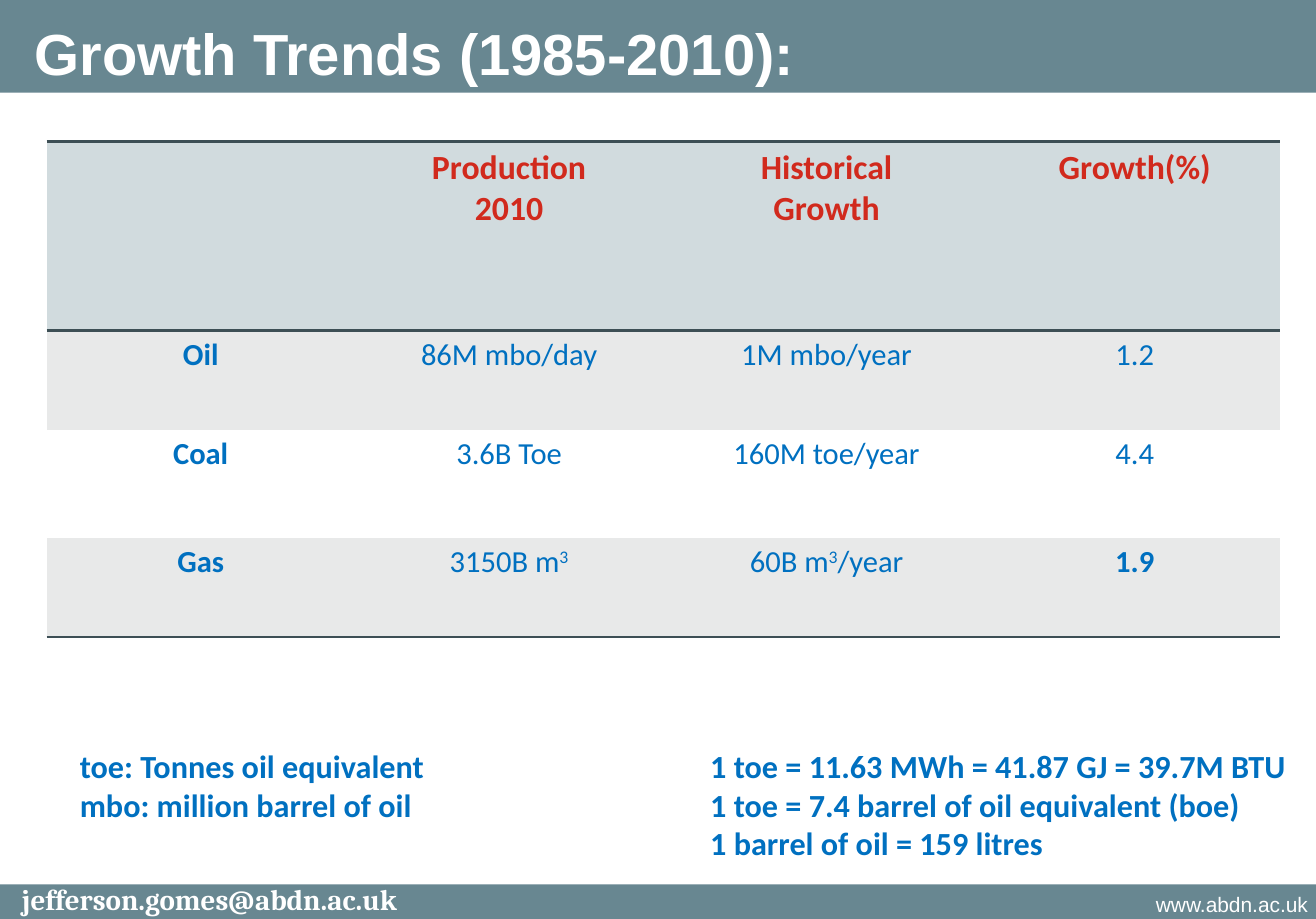
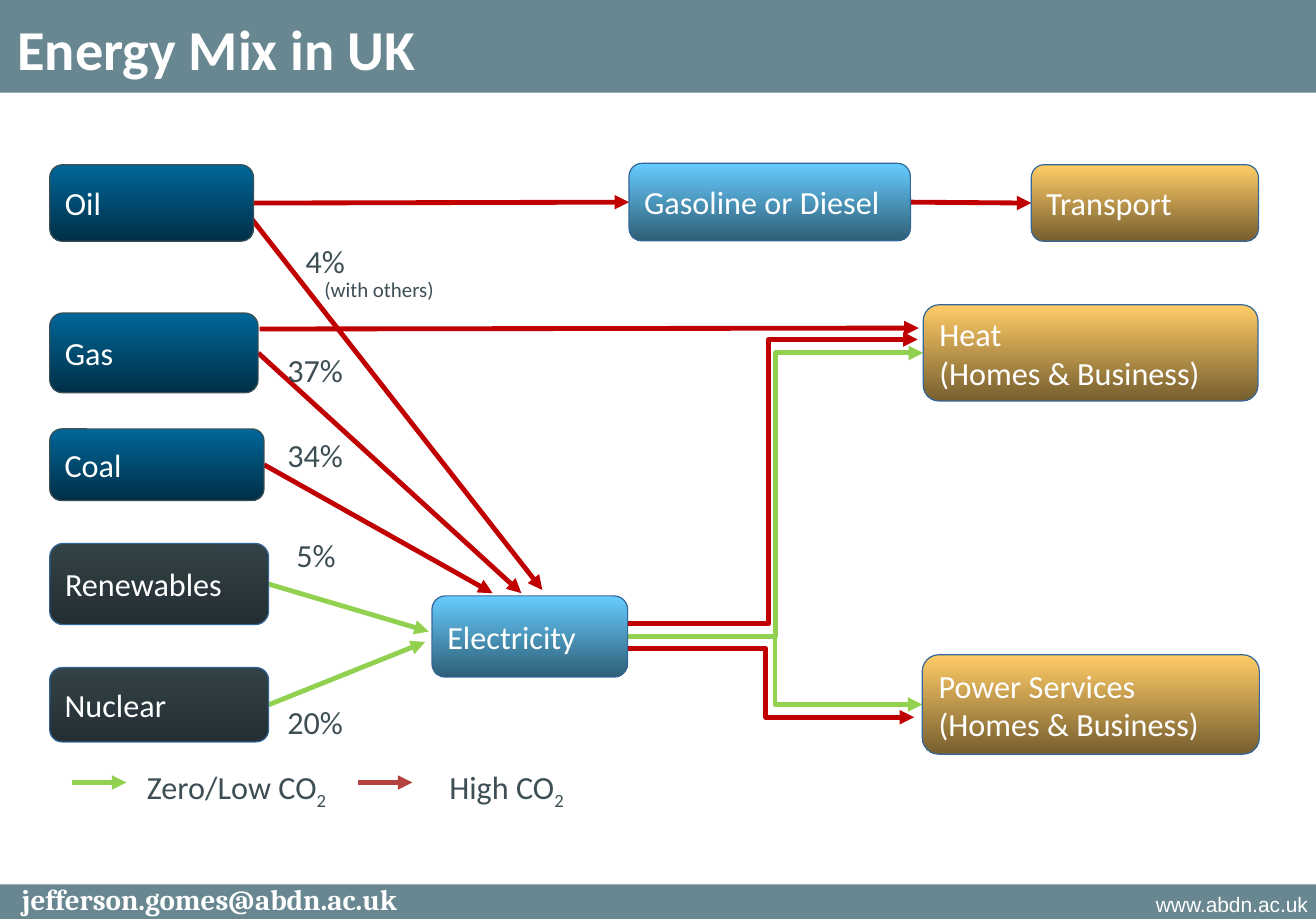
from lxml import etree
from pptx import Presentation
from pptx.dml.color import RGBColor
from pptx.enum.shapes import MSO_CONNECTOR, MSO_SHAPE
from pptx.enum.text import MSO_ANCHOR, MSO_AUTO_SIZE, PP_ALIGN
from pptx.oxml.ns import qn
from pptx.util import Cm, Pt

LEFT, MID, RIGHT = PP_ALIGN.LEFT, PP_ALIGN.CENTER, PP_ALIGN.RIGHT
TOP, CENTRE = MSO_ANCHOR.TOP, MSO_ANCHOR.MIDDLE
FIXED, GROW = MSO_AUTO_SIZE.NONE, MSO_AUTO_SIZE.SHAPE_TO_FIT_TEXT
RECT, ROUND = MSO_SHAPE.RECTANGLE, MSO_SHAPE.ROUNDED_RECTANGLE
LINE, ELBOW = MSO_CONNECTOR.STRAIGHT, MSO_CONNECTOR.ELBOW

WIDE, HIGH = 28.85, 20.14
PAD = (0.28, 0.15)
NO_GRID = "{2D5ABB26-0587-4C30-8999-92F81FD0307C}"
COLORS = {
    "band": "688791", "white": "FFFFFF", "ink": "3D4F55", "blue": "0070C0",
    "head": "D12A1D", "top": "D1DBDE", "stripe": "E8E9E9",
    "low": "92D050", "high": "C00000", "key": "B4423E", "edge": "336699",
}
# Fill at the top, fill at the bottom, outline
KINDS = {
    "fossil": ("006699", "002F47", "3D4F55"),
    "clean": ("334247", "242F33", "336699"),
    "fuel": ("66CCFF", "2F5E76", "336699"),
    "use": ("FFCC66", "765E2F", "336699"),
}


def rgb(name):
    return RGBColor.from_string(COLORS.get(name, name))


def write(frame, text, font="Calibri", size=20, color="ink", bold=False,
          align=LEFT, base=30, space=None):
    """Fill a frame; text between ^ marks is raised by base percent."""
    for i, part in enumerate(text.split("\n")):
        para = frame.paragraphs[0] if i == 0 else frame.add_paragraph()
        para.alignment = align
        if space:
            para.line_spacing = space
        for j, bit in enumerate(part.split("^")):
            if not bit:
                continue
            run = para.add_run()
            run.text = bit
            run.font.name, run.font.size = font, Pt(size)
            run.font.bold, run.font.color.rgb = bold, rgb(color)
            if j % 2:
                run.font._element.set("baseline", str(base * 1000))


def inset(frame, pad):
    frame.margin_left = frame.margin_right = Cm(pad[0])
    frame.margin_top = frame.margin_bottom = Cm(pad[1])


class Deck:
    def __init__(self):
        self.show = Presentation()
        self.show.slide_width, self.show.slide_height = Cm(WIDE), Cm(HIGH)
        self.plan = self.show.slide_layouts[5]
        self.slide = None

    def start(self, text, box, **style):
        first = self.slide is None
        self.slide = self.show.slides.add_slide(self.plan)
        if first:
            self.frame()
        title = self.slide.shapes.title
        title.left, title.top, title.width, title.height = map(Cm, box)
        body = title.text_frame
        body.auto_size, body.word_wrap = FIXED, True
        body.vertical_anchor = CENTRE
        inset(body, PAD)
        write(body, text, color="white", bold=True, **style)

    def frame(self):
        """Put the bands and the footer on the layout."""
        parts = [
            self.band(0, 2.03),
            self.band(19.38, 0.76),
            self.text("www.abdn.ac.uk", (21.46, 19.38, 7.49, 0.97), wrap=True,
                      pad=PAD, font="Arial", size=13, color="white", align=RIGHT),
            self.text("jefferson.gomes@abdn.ac.uk", (0, 19.25, 9.19, 0.89),
                      wrap=True, pad=PAD, font="Cambria", size=18,
                      color="white", bold=True, align=MID, space=0.9),
        ]
        for part in parts:
            self.plan.shapes.element.append(part.element)

    def band(self, top, high):
        band = self.slide.shapes.add_shape(RECT, 0, Cm(top), Cm(WIDE), Cm(high))
        band.shadow.inherit = False
        band.fill.solid()
        band.fill.fore_color.rgb = rgb("band")
        band.line.fill.background()
        return band

    def text(self, text, box, wrap=False, pad=(0.25, 0.13), **style):
        area = self.slide.shapes.add_textbox(*map(Cm, box))
        body = area.text_frame
        body.word_wrap = wrap
        body.auto_size = FIXED if wrap else GROW
        inset(body, pad)
        write(body, text, **style)
        return area

    def box(self, text, kind, box):
        upper, lower, edge = KINDS[kind]
        node = self.slide.shapes.add_shape(ROUND, *map(Cm, box))
        node.shadow.inherit = False
        node.fill.gradient()
        node.fill.gradient_angle = 270
        for stop, tint in zip(node.fill.gradient_stops, (upper, lower)):
            stop.color.rgb = rgb(tint)
        node.line.color.rgb, node.line.width = rgb(edge), Pt(0.75)
        body = node.text_frame
        body.word_wrap, body.vertical_anchor = True, CENTRE
        write(body, text, color="white")
        return node

    def link(self, start, end, color, kind=LINE):
        """Arrow behind the boxes, from a box's right side or a point
        to a box's left side or a point."""
        a = start if isinstance(start, tuple) else (0, 0)
        b = end if isinstance(end, tuple) else (0, 0)
        line = self.slide.shapes.add_connector(kind, *map(Cm, a + b))
        if start is not a:
            line.begin_connect(start, 3)
        if end is not b:
            line.end_connect(end, 1)
        line.line.color.rgb, line.line.width = rgb(color), Pt(3)
        etree.SubElement(line.line._get_or_add_ln(), qn("a:tailEnd"), type="triangle")
        etree.SubElement(line.element.spPr, qn("a:effectLst"))
        self.slide.shapes.element.insert(2, line.element)

    def rule(self, cell, side):
        props = cell._tc.get_or_add_tcPr()
        edge = etree.SubElement(props, qn("a:" + side), w=str(Pt(2)))
        fill = etree.SubElement(edge, qn("a:solidFill"))
        etree.SubElement(fill, qn("a:srgbClr"), val=COLORS["ink"])

    def table(self, rows, box, wides, highs, bold):
        """Bold holds the (row, column) of each bold body cell."""
        grid = self.slide.shapes.add_table(
            len(rows), len(wides), *map(Cm, box)).table
        grid.first_row = grid.horz_banding = False
        grid._tbl.tblPr.find(qn("a:tableStyleId")).text = NO_GRID
        for col, wide in zip(grid.columns, wides):
            col.width = Cm(wide)
        for r, row in enumerate(rows):
            grid.rows[r].height = Cm(highs[r])
            for c, text in enumerate(row):
                cell = grid.cell(r, c)
                inset(cell, (0.28, 0.13))
                cell.vertical_anchor = TOP
                if r == 0:
                    self.rule(cell, "lnT")
                if r in (0, len(rows) - 1):
                    self.rule(cell, "lnB")
                cell.fill.solid()
                tint = "top" if r == 0 else "stripe" if r % 2 else "white"
                cell.fill.fore_color.rgb = rgb(tint)
                if text:
                    write(cell.text_frame, text, align=MID,
                          size=19 if r else 21, color="blue" if r else "head",
                          bold=r == 0 or (r, c) in bold)


def trends(deck):
    deck.start("Growth Trends (1985-2010):", (0.48, 0.13, 21.92, 2.03),
               font="Arial", size=36)
    deck.table([
        ("", "Production\n2010", "Historical\nGrowth", "Growth(%)"),
        ("Oil", "86M mbo/day", "1M mbo/year", "1.2"),
        ("Coal", "3.6B Toe", "160M toe/year", "4.4"),
        ("Gas", "3150B m^3^", "60B m^3^/year", "1.9"),
    ], (1.02, 3.1, 27.03, 10.86), (6.76, 6.76, 7.16, 6.35),
        (4.14, 2.18, 2.36, 2.18), {(1, 0), (2, 0), (3, 0), (3, 3)})
    note = {"pad": PAD, "color": "blue", "bold": True}
    deck.text("toe: Tonnes oil equivalent\nmbo: million barrel of oil",
              (1.47, 16.21, 8.2, 1.98), **note)
    deck.text("1 toe = 11.63 MWh = 41.87 GJ = 39.7M BTU\n"
              "1 toe = 7.4 barrel of oil equivalent (boe)\n"
              "1 barrel of oil = 159 litres", (15.29, 16.21, 13.28, 2.84), **note)


def energy(deck):
    deck.start("Energy Mix in UK", (0.1, 0.13, 20, 1.85), size=35)
    oil = deck.box("Oil", "fossil", (1.09, 3.61, 4.47, 1.68))
    gas = deck.box("Gas", "fossil", (1.09, 6.86, 4.57, 1.75))
    coal = deck.box("Coal", "fossil", (1.09, 9.4, 4.7, 1.57))
    renew = deck.box("Renewables", "clean", (1.09, 11.91, 4.8, 1.78))
    nuke = deck.box("Nuclear", "clean", (1.09, 14.63, 4.8, 1.63))
    petrol = deck.box("Gasoline or Diesel", "fuel", (13.79, 3.58, 6.17, 1.7))
    power = deck.box("Electricity", "fuel", (9.47, 13.06, 4.29, 1.78))
    cars = deck.box("Transport", "use", (22.61, 3.61, 4.98, 1.68))
    heat = deck.box("Heat\n(Homes & Business)", "use", (20.24, 6.68, 7.34, 2.11))
    serve = deck.box("Power Services\n(Homes & Business)", "use",
                     (20.22, 14.35, 7.39, 2.18))

    for start, end, color in (
        (oil, petrol, "high"),
        (petrol, cars, "high"),
        ((5.38, 4.62), (11.89, 12.93), "high"),
        ((5.69, 7.21), (20.14, 7.19), "high"),
        (gas, (11.43, 13), "high"),
        (coal, (10.8, 13), "high"),
        (renew, (9.4, 13.84), "low"),
        (nuke, (9.32, 14.07), "low"),
        ((1.57, 17.15), (2.77, 17.15), "low"),
        ((7.85, 17.15), (9.04, 17.15), "key"),
    ):
        deck.link(start, end, color)
    for start, end, color in (
        (power, heat, "low"),
        (power, serve, "low"),
        ((13.59, 13.67), (20.12, 7.44), "high"),
        ((13.54, 14.22), (20.04, 15.72), "high"),
    ):
        deck.link(start, end, color, ELBOW)

    for share, left, top, wide in (
        ("4%", 6.45, 5.16, 1.37),
        ("37%", 6.05, 7.54, 1.75),
        ("34%", 6.05, 9.4, 1.75),
        ("5%", 6.25, 11.61, 1.37),
        ("20%", 6.05, 15.27, 1.75),
        ("Zero/Low CO^2^", 2.97, 16.69, 4.5),
        ("High CO^2^", 9.6, 16.69, 3.07),
    ):
        deck.text(share, (left, top, wide, 1.12), base=-25)
    deck.text("(with others)", (6.86, 5.94, 2.95, 0.81), size=13)


def main():
    deck = Deck()
    trends(deck)
    energy(deck)
    deck.show.save("out.pptx")


if __name__ == "__main__":
    main()
